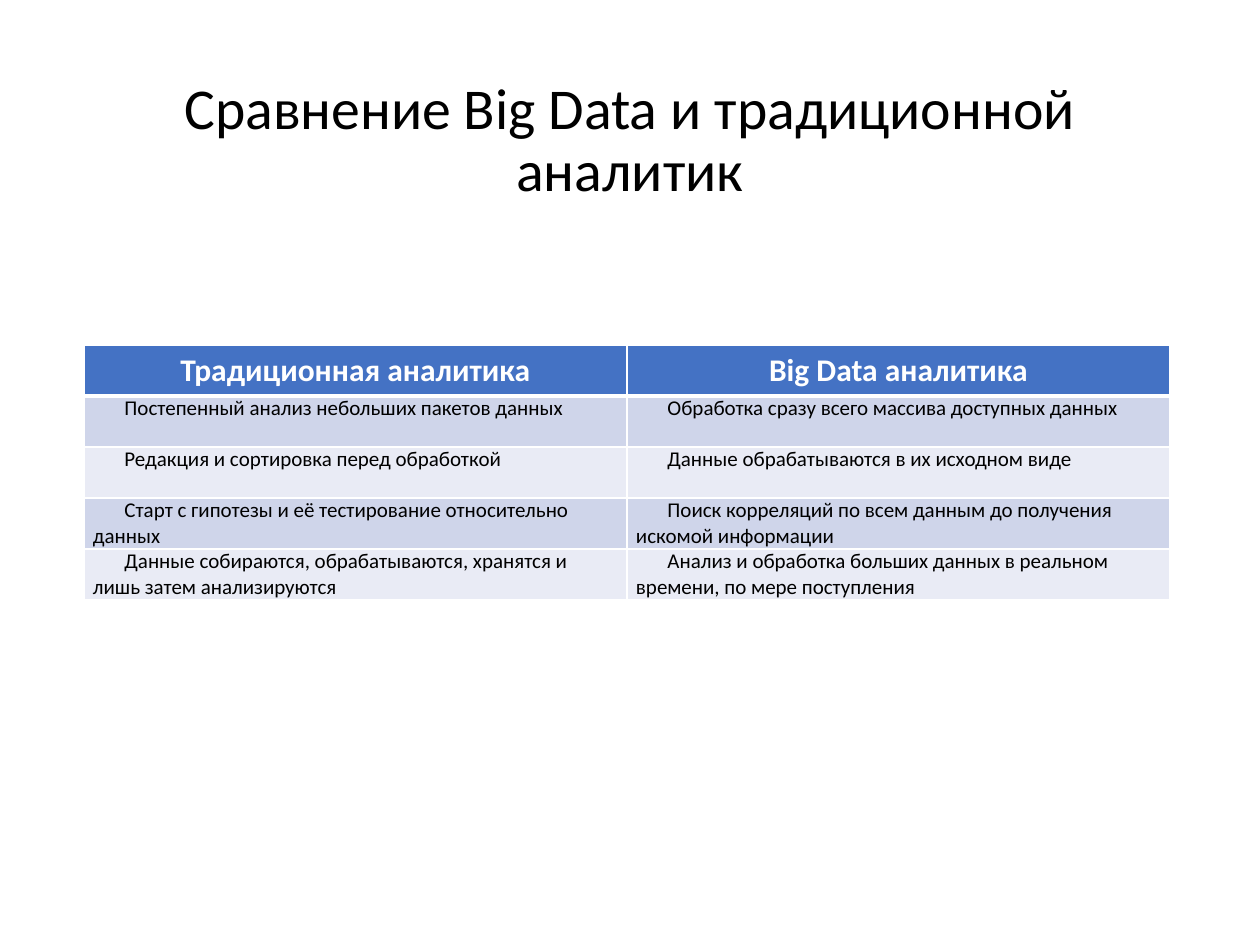
from lxml import etree
from pptx import Presentation, util as u
from pptx.dml.color import RGBColor
from pptx.enum import text
from pptx.oxml import ns

EMU_PER_PX = u.Inches(1) / 126
BLACK = RGBColor(0x00, 0x00, 0x00)
WHITE = RGBColor(0xFF, 0xFF, 0xFF)
BLUE = RGBColor(0x44, 0x72, 0xC4)
BANDS = (RGBColor(0xCF, 0xD5, 0xEA), RGBColor(0xE9, 0xEB, 0xF5))

HEADINGS = ("Традиционная аналитика", "Big Data аналитика")
COMPARISON = (
    ("Постепенный анализ небольших пакетов данных",
     "Обработка сразу всего массива доступных данных"),
    ("Редакция и сортировка перед обработкой",
     "Данные обрабатываются в их исходном виде"),
    ("Старт с гипотезы и её тестирование относительно данных",
     "Поиск корреляций по всем данным до получения искомой информации"),
    ("Данные собираются, обрабатываются, хранятся и лишь затем анализируются",
     "Анализ и обработка больших данных в реальном времени, по мере поступления"),
)


def px(length):
    return u.Emu(round(length * EMU_PER_PX))


class SlideBuilder:
    font = "Calibri"

    def __init__(self, slide):
        self.slide = slide

    def add_words(self, paragraph, words, size, color, bold=False):
        run = paragraph.add_run()
        run.text = words
        run.font.name = self.font
        run.font.size = u.Pt(size)
        run.font.bold = bold
        run.font.color.rgb = color

    def title(self, words, left, top, width, height):
        box = self.slide.shapes.add_textbox(px(left), px(top), px(width), px(height))
        frame = box.text_frame
        frame.word_wrap = True
        frame.vertical_anchor = text.MSO_ANCHOR.MIDDLE
        heading = frame.paragraphs[0]
        heading.alignment = text.PP_ALIGN.CENTER
        heading.line_spacing = 0.9
        self.add_words(heading, words, 33, BLACK)

    def borders(self, cell, bottom=1):
        properties = cell._tc.get_or_add_tcPr()
        sides = (("lnL", 1), ("lnR", 1), ("lnT", 1), ("lnB", bottom))
        for place, (side, points) in enumerate(sides):
            line = etree.Element(ns.qn(f"a:{side}"), w=str(u.Pt(points)))
            fill = etree.SubElement(line, ns.qn("a:solidFill"))
            etree.SubElement(fill, ns.qn("a:srgbClr"), val=str(WHITE))
            properties.insert(place, line)

    def cell(self, cell, fill, bottom=1):
        cell.fill.solid()
        cell.fill.fore_color.rgb = fill
        self.borders(cell, bottom)
        return cell.text_frame.paragraphs[0]

    def header_cell(self, cell, words):
        paragraph = self.cell(cell, BLUE, bottom=3)
        paragraph.alignment = text.PP_ALIGN.CENTER
        self.add_words(paragraph, words, 18, WHITE, bold=True)

    def body_cell(self, cell, words, fill):
        paragraph = self.cell(cell, fill)
        cell.margin_left = cell.margin_right = px(9)
        cell.margin_top = cell.margin_bottom = 0
        paragraph._p.get_or_add_pPr().set("indent", str(u.Inches(0.25)))
        self.add_words(paragraph, words, 12, BLACK)

    def table(self, headings, rows, left, top, width, row_height):
        count = len(rows) + 1
        grid = self.slide.shapes.add_table(
            count, len(headings), px(left), px(top), px(width), px(row_height * count)
        ).table
        grid.horz_banding = False
        for row in grid.rows:
            row.height = px(row_height)
        for column, words in enumerate(headings):
            self.header_cell(grid.cell(0, column), words)
        for index, row in enumerate(rows):
            for column, words in enumerate(row):
                self.body_cell(grid.cell(index + 1, column), words, BANDS[index % 2])


def main():
    deck = Presentation()
    deck.slide_width, deck.slide_height = u.Inches(10), u.Inches(7.5)
    builder = SlideBuilder(deck.slides.add_slide(deck.slide_layouts[6]))

    # Title
    builder.title("Сравнение Big Data и традиционной аналитик", 87, 50, 1086, 183)

    # Comparison table
    builder.table(HEADINGS, COMPARISON, left=84, top=345, width=1086, row_height=51)

    deck.save("out.pptx")


if __name__ == "__main__":
    main()
